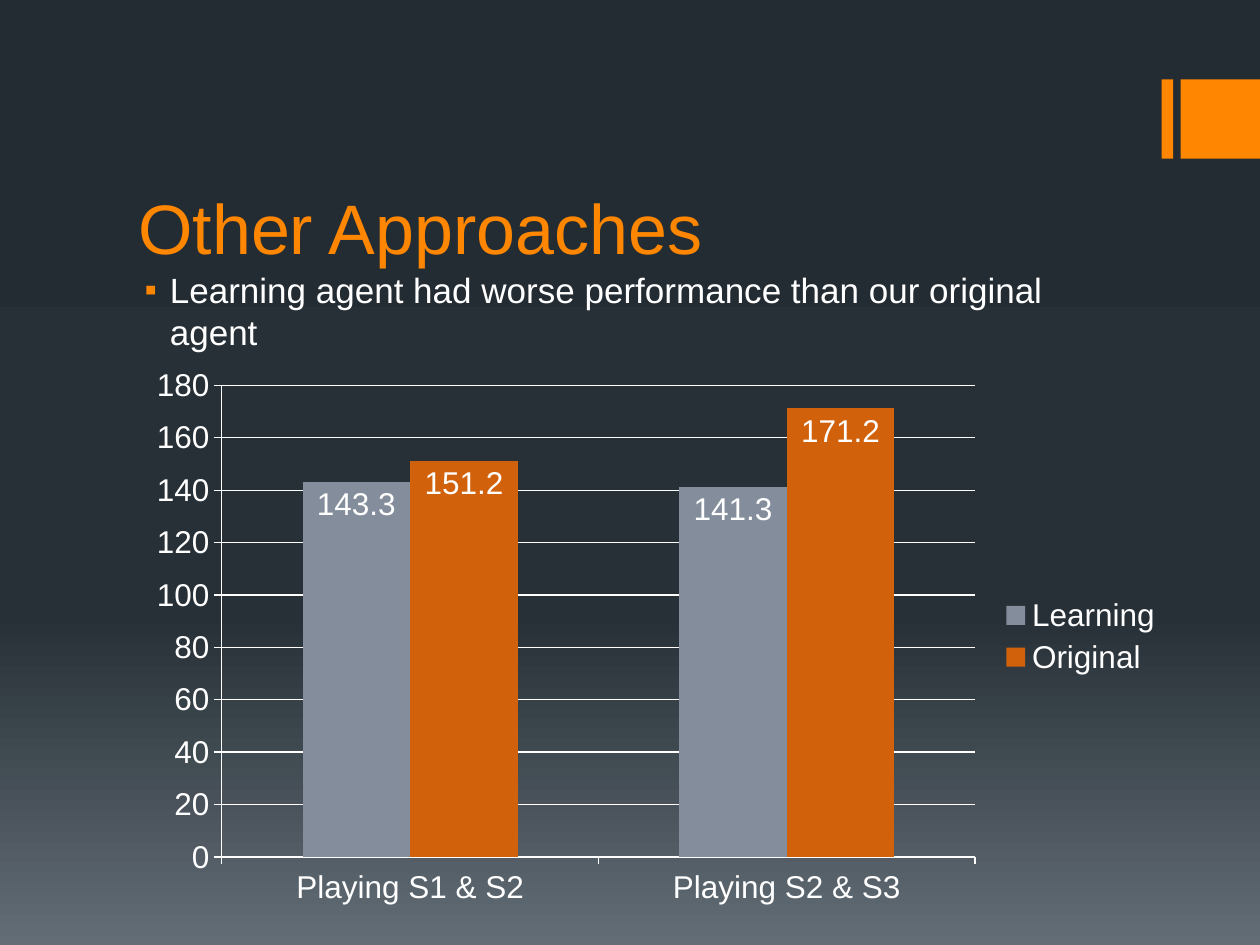
from copy import deepcopy

from lxml.etree import SubElement
from pptx import Presentation
from pptx.chart.data import CategoryChartData
from pptx.dml.color import RGBColor
from pptx.enum.chart import (XL_CHART_TYPE, XL_LABEL_POSITION,
                             XL_LEGEND_POSITION, XL_TICK_MARK)
from pptx.enum.shapes import MSO_SHAPE
from pptx.enum.text import MSO_ANCHOR
from pptx.oxml.ns import qn
from pptx.util import Inches, Pt

FONT = "Arial"
COLORS = {
    "accent": "FF8600",
    "text": "FFFFFF",
    "sky": "242C33",
    "dusk": "273037",
    "horizon": "636D76",
    "Learning": "838D9B",
    "Original": "D2610C",
}
CATEGORIES = ["Playing S1 & S2", "Playing S2 & S3"]
SCORES = {"Learning": [143.3, 141.3], "Original": [151.2, 171.2]}


def rgb(name):
    return RGBColor.from_string(COLORS[name])


def style_font(font, size, color):
    font.name = FONT
    font.size = Pt(size)
    font.color.rgb = rgb(color)


def set_background(slide):
    fill = slide.background.fill
    fill.gradient()
    fill.gradient_angle = 270
    first_stop = fill.gradient_stops[0]._gs
    first_stop.addnext(deepcopy(first_stop))
    stops = [("sky", 0), ("dusk", 0.65), ("horizon", 1)]
    for stop, (color, position) in zip(fill.gradient_stops, stops):
        stop.color.rgb = rgb(color)
        stop.position = position


def add_accent_bar(slide, left, width):
    bar = slide.shapes.add_shape(MSO_SHAPE.RECTANGLE, Inches(left), Inches(0.63),
                                 Inches(width), Inches(0.63))
    bar.shadow.inherit = False
    bar.fill.solid()
    bar.fill.fore_color.rgb = rgb("accent")
    bar.line.fill.background()


def add_text(slide, text, top, height, size, color, anchor):
    """Add a one-paragraph text box in the content column; return the paragraph."""
    box = slide.shapes.add_textbox(Inches(1), Inches(top), Inches(8), Inches(height))
    frame = box.text_frame
    frame.word_wrap = True
    frame.vertical_anchor = anchor
    frame.text = text
    paragraph = frame.paragraphs[0]
    style_font(paragraph.runs[0].font, size, color)
    return paragraph


def add_bullet(paragraph):
    paragraph.space_before = Pt(4)
    properties = paragraph._p.get_or_add_pPr()
    properties.set("marL", str(Inches(0.25)))
    properties.set("indent", str(Inches(-0.2)))
    bullet_color = SubElement(properties, qn("a:buClr"))
    SubElement(bullet_color, qn("a:srgbClr"), val=COLORS["accent"])
    SubElement(properties, qn("a:buFont"), typeface=FONT)
    SubElement(properties, qn("a:buChar"), char="▪")


def style_axis(axis):
    axis.major_tick_mark = XL_TICK_MARK.OUTSIDE
    axis.minor_tick_mark = XL_TICK_MARK.NONE
    axis.format.line.color.rgb = rgb("text")


def add_score_chart(slide):
    scores = CategoryChartData()
    scores.categories = CATEGORIES
    for agent, values in SCORES.items():
        scores.add_series(agent, values)
    chart = slide.shapes.add_chart(
        XL_CHART_TYPE.COLUMN_CLUSTERED, Inches(1.08), Inches(2.83),
        Inches(8.25), Inches(4.44), scores).chart
    style_font(chart.font, 18, "text")
    chart.has_title = False
    chart.has_legend = True
    chart.legend.position = XL_LEGEND_POSITION.RIGHT
    chart.legend.include_in_layout = False

    style_axis(chart.category_axis)
    style_axis(chart.value_axis)
    chart.value_axis.minimum_scale = 0
    chart.value_axis.maximum_scale = 180
    chart.value_axis.major_unit = 20
    chart.value_axis.has_major_gridlines = True
    chart.value_axis.major_gridlines.format.line.color.rgb = rgb("text")

    plot = chart.plots[0]
    plot.gap_width = 150
    plot.overlap = 0
    plot.vary_by_categories = False
    for series in plot.series:
        series.format.fill.solid()
        series.format.fill.fore_color.rgb = rgb(series.name)
        labels = series.data_labels
        labels.show_value = True
        labels.position = XL_LABEL_POSITION.INSIDE_END
        style_font(labels.font, 18, "text")


def main():
    deck = Presentation()
    deck.slide_width, deck.slide_height = Inches(10), Inches(7.5)
    slide = deck.slides.add_slide(deck.slide_layouts[6])
    set_background(slide)
    add_accent_bar(slide, 9.22, 0.09)
    add_accent_bar(slide, 9.37, 0.63)
    add_text(slide, "Other Approaches", 0.92, 1.26, 40, "accent", MSO_ANCHOR.BOTTOM)
    finding = add_text(
        slide, "Learning agent had worse performance than our original agent",
        2.08, 3.87, 20, "text", MSO_ANCHOR.TOP)
    add_bullet(finding)
    add_score_chart(slide)
    deck.save("out.pptx")


if __name__ == "__main__":
    main()
